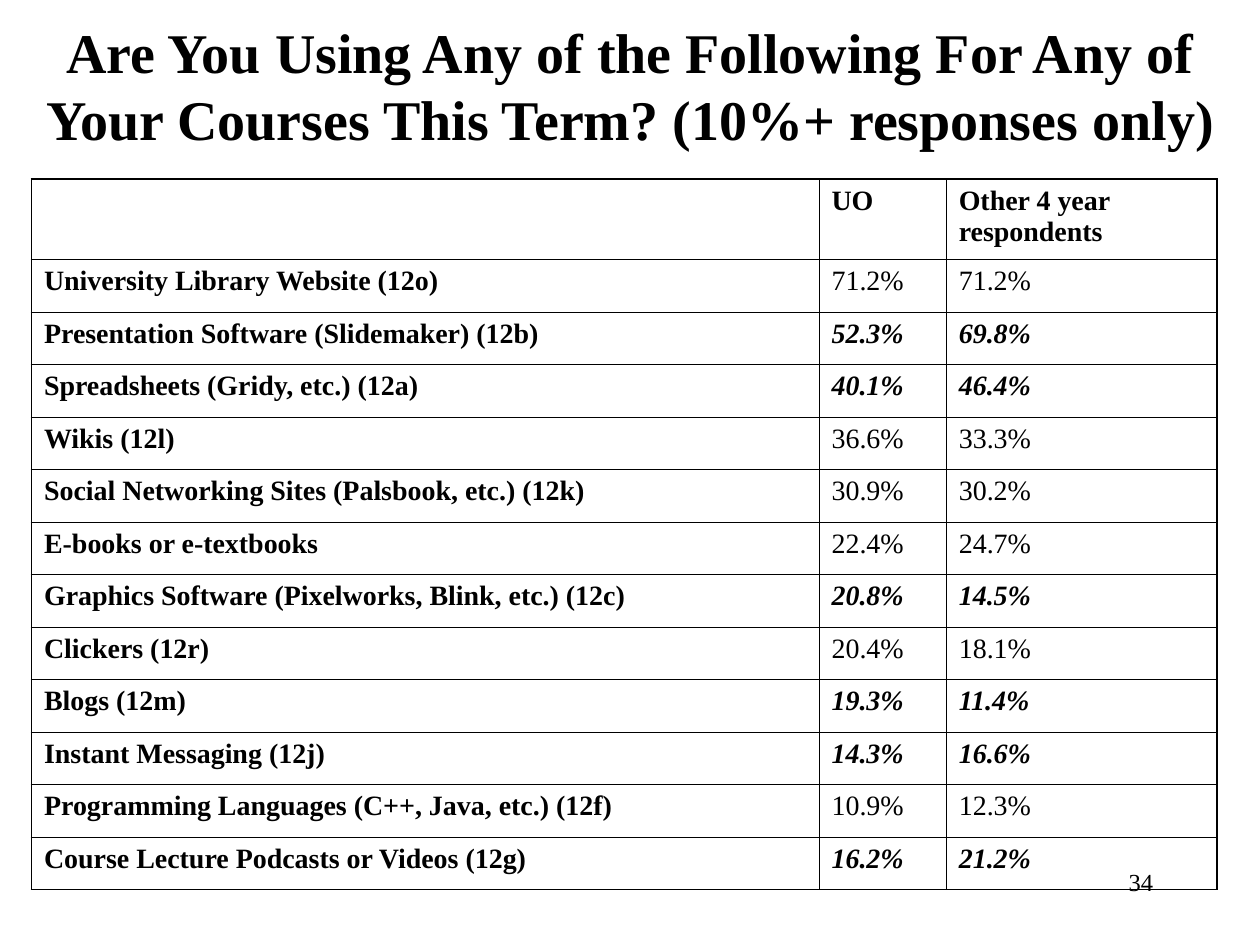
from dataclasses import dataclass

from lxml.etree import SubElement
from pptx import Presentation
from pptx.dml.color import RGBColor
from pptx.enum.text import MSO_ANCHOR as Anchor, PP_ALIGN as Align
from pptx.oxml.ns import qn
from pptx.util import Inches, Pt


@dataclass(frozen=True)
class Theme:
    font: str = "Times New Roman"
    ink: str = "000000"
    title: int = 32
    body: int = 16
    number: int = 14
    outer_line: float = 1.08
    inner_line: float = 0.45


THEME = Theme()


def write(frame, text, size=THEME.body, bold=False, italic=False,
          align=Align.LEFT, before=0):
    frame.word_wrap = True
    para = frame.paragraphs[0]
    para.alignment = align
    if before:
        para.space_before = Pt(before)
    span = para.add_run()
    span.text = text
    span.font.name = THEME.font
    span.font.size = Pt(size)
    span.font.bold = bold
    span.font.italic = italic
    span.font.color.rgb = RGBColor.from_string(THEME.ink)


def draw_borders(cell, **widths):
    """Draw cell borders; widths are points keyed by side, in order L, R, T, B."""
    properties = cell._tc.get_or_add_tcPr()
    for side, width in widths.items():
        line = SubElement(properties, qn(f"a:ln{side}"), w=str(Pt(width)))
        fill = SubElement(line, qn("a:solidFill"))
        SubElement(fill, qn("a:srgbClr"), val=THEME.ink)


deck = Presentation()
deck.slide_width, deck.slide_height = Inches(10), Inches(7.5)
page = deck.slides.add_slide(deck.slide_layouts[6])

number_box = page.shapes.add_textbox(Inches(7.17), Inches(6.83), Inches(2.08), Inches(0.5))
write(number_box.text_frame, "34", size=THEME.number, align=Align.RIGHT)

title_box = page.shapes.add_textbox(Inches(0.17), Inches(0.17), Inches(9.67), Inches(1))
title_box.text_frame.vertical_anchor = Anchor.MIDDLE
write(title_box.text_frame,
      "Are You Using Any of the Following For Any of Your Courses This Term? "
      "(10%+ responses only)",
      size=THEME.title, bold=True, align=Align.CENTER)

HEADER = ("", "UO", "Other 4 year respondents")
# Tool, UO share, share at other schools, whether the shares are emphasised
USAGE = [
    ("University Library Website (12o)", "71.2%", "71.2%", False),
    ("Presentation Software (Slidemaker) (12b)", "52.3%", "69.8%", True),
    ("Spreadsheets (Gridy, etc.) (12a)", "40.1%", "46.4%", True),
    ("Wikis (12l)", "36.6%", "33.3%", False),
    ("Social Networking Sites (Palsbook, etc.) (12k)", "30.9%", "30.2%", False),
    ("E-books or e-textbooks", "22.4%", "24.7%", False),
    ("Graphics Software (Pixelworks, Blink, etc.) (12c)", "20.8%", "14.5%", True),
    ("Clickers (12r)", "20.4%", "18.1%", False),
    ("Blogs (12m)", "19.3%", "11.4%", True),
    ("Instant Messaging (12j)", "14.3%", "16.6%", True),
    ("Programming Languages (C++, Java, etc.) (12f)", "10.9%", "12.3%", False),
    ("Course Lecture Podcasts or Videos (12g)", "16.2%", "21.2%", True),
]
COLUMN_WIDTHS = (6.25, 1.01, 2.15)
HEADER_HEIGHT, BODY_HEIGHT = 0.64, 5

table = page.shapes.add_table(
    len(USAGE) + 1, len(HEADER), Inches(0.25), Inches(1.42),
    Inches(sum(COLUMN_WIDTHS)), Inches(HEADER_HEIGHT + BODY_HEIGHT)).table
table.first_row = table.horz_banding = False
for column, width in zip(table.columns, COLUMN_WIDTHS):
    column.width = Inches(width)
for row in table.rows:
    row.height = Inches(BODY_HEIGHT / len(USAGE))
table.rows[0].height = Inches(HEADER_HEIGHT)

last = len(HEADER) - 1
for r, (*texts, emphasised) in enumerate([(*HEADER, False), *USAGE]):
    for c, text in enumerate(texts):
        cell = table.cell(r, c)
        cell.margin_left = cell.margin_right = Inches(0.1)
        cell.margin_top = cell.margin_bottom = Inches(0.05)
        draw_borders(cell,
                     L=THEME.outer_line if c == 0 else THEME.inner_line,
                     R=THEME.outer_line if c == last else THEME.inner_line,
                     T=THEME.outer_line if r == 0 else THEME.inner_line,
                     B=THEME.inner_line)
        cell.fill.background()
        if text:
            write(cell.text_frame, text, bold=r == 0 or c == 0 or emphasised,
                  italic=emphasised and c > 0, before=4)

deck.save("out.pptx")
